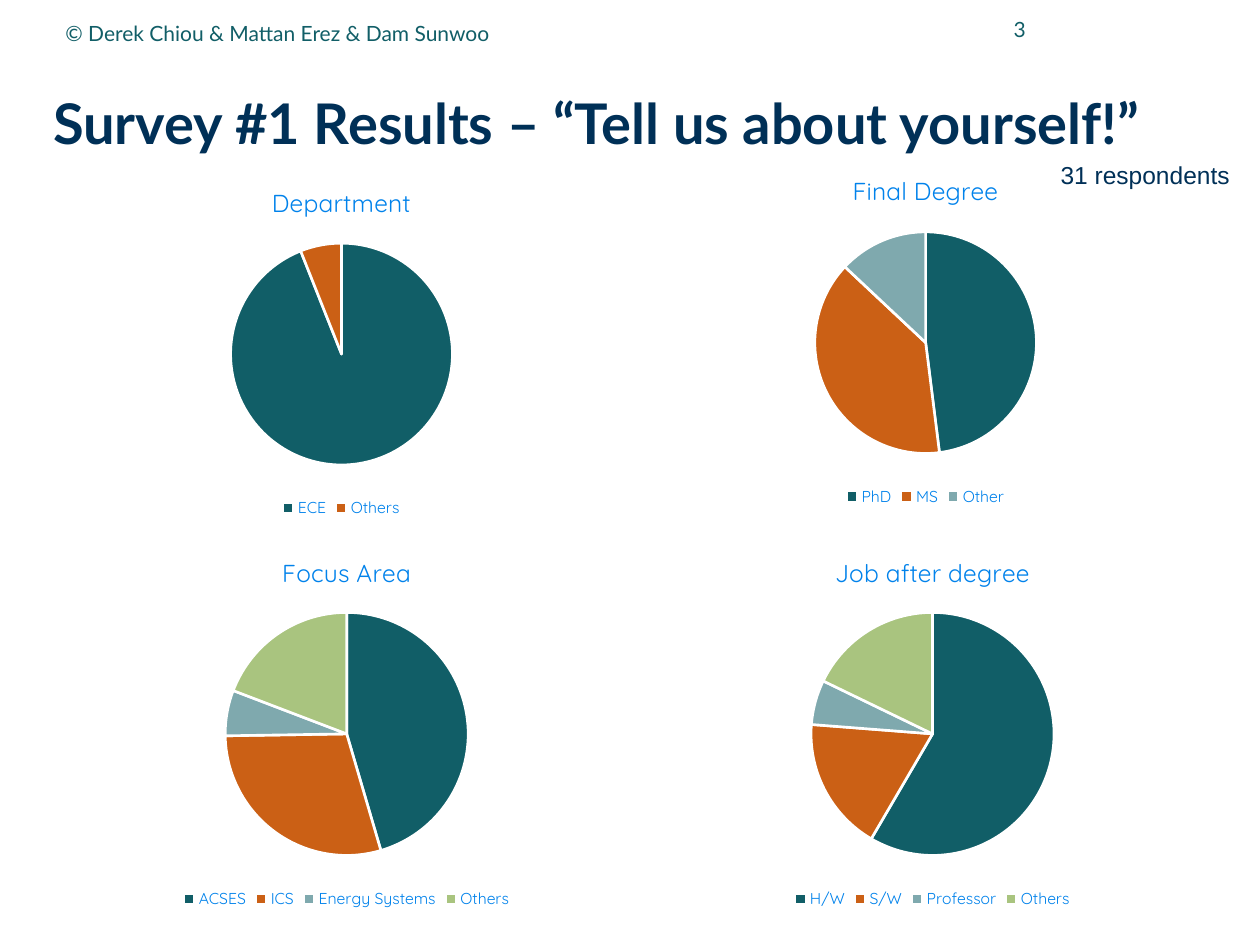
from pptx import Presentation
from pptx.chart.data import CategoryChartData
from pptx.dml.color import RGBColor
from pptx.enum import chart as ch, text
from pptx.oxml import parse_xml
from pptx.oxml.ns import nsdecls
from pptx.util import Cm, Pt

NAVY = RGBColor(0x00, 0x30, 0x57)
TEAL = RGBColor(0x11, 0x5E, 0x67)
ORANGE = RGBColor(0xCB, 0x60, 0x15)
STEEL = RGBColor(0x7F, 0xA9, 0xAE)
GREEN = RGBColor(0xA9, 0xC4, 0x7F)
BLUE = RGBColor(0x00, 0x82, 0xEB)
WHITE = RGBColor(0xFF, 0xFF, 0xFF)
SLICE_COLORS = (TEAL, ORANGE, STEEL, GREEN)

# Space in cm kept above each pie for its title and below it for its legend
TITLE_SPACE, LEGEND_SPACE = 1.55, 1.17

# Box in cm (left, top, width, height), title, percentage by answer
SURVEYS = (
    ((1.32, 3.35, 11.13, 7.19), "Department", {"ECE": 94, "Others": 6}),
    ((11.89, 3.12, 13.54, 7.19), "Final Degree",
     {"PhD": 48, "MS": 39, "Other": 13}),
    ((0.64, 10.8, 12.7, 7.62), "Focus Area",
     {"ACSES": 45, "ICS": 29, "Energy Systems": 6, "Others": 19}),
    ((12.45, 10.8, 12.7, 7.62), "Job after degree",
     {"H/W": 59, "S/W": 18, "Professor": 6, "Others": 18}),
)


def set_font(font, name, size, color, bold=False):
    font.name, font.size, font.bold = name, Pt(size), bold
    font.color.rgb = color


def add_label(slide, box, words, name, size, color,
              align=text.PP_ALIGN.LEFT, anchor=text.MSO_ANCHOR.MIDDLE,
              wrap=True):
    frame = slide.shapes.add_textbox(*map(Cm, box)).text_frame
    frame.word_wrap, frame.vertical_anchor = wrap, anchor
    frame.text = words
    frame.paragraphs[0].alignment = align
    set_font(frame.paragraphs[0].runs[0].font, name, size, color)


def add_header(slide, box):
    left, top, width, height = box
    # Page number and copyright line
    add_label(slide, (left + 17.55, top - 1.32, 2.31, 1.27), "3",
              "Lato", 12, TEAL, align=text.PP_ALIGN.RIGHT)
    add_label(slide, (left, top - 1.19, 14.4, 1.17),
              "© Derek Chiou & Mattan Erez & Dam Sunwoo", "Lato", 12, TEAL)

    # Slide title
    title = slide.shapes.title
    title.left, title.top, title.width, title.height = map(Cm, box)
    frame = title.text_frame
    frame.margin_left = frame.margin_right = 0
    frame.margin_top = frame.margin_bottom = 0
    frame.vertical_anchor = text.MSO_ANCHOR.MIDDLE
    frame.text = "Survey #1 Results – “Tell us about yourself!”"
    heading = frame.paragraphs[0]
    heading.alignment, heading.line_spacing = text.PP_ALIGN.LEFT, 0.99
    set_font(heading.runs[0].font, "Lato", 32, NAVY, bold=True)


def fix_pie_size(chart, width, height):
    diameter = height - TITLE_SPACE - LEGEND_SPACE
    share = diameter / width
    values = {"x": (1 - share) / 2, "y": TITLE_SPACE / height,
              "w": share, "h": diameter / height}
    sizes = "".join(f'<c:{key} val="{value:.3f}"/>'
                    for key, value in values.items())
    plot_area = chart.plots[0]._element.getparent()
    for layout in plot_area.findall("{*}layout"):
        plot_area.remove(layout)
    plot_area.insert(0, parse_xml(
        f'<c:layout {nsdecls("c")}><c:manualLayout>'
        '<c:layoutTarget val="inner"/><c:xMode val="edge"/>'
        f'<c:yMode val="edge"/>{sizes}</c:manualLayout></c:layout>'))


def add_survey_pie(slide, box, question, answers):
    data = CategoryChartData()
    data.categories = list(answers)
    data.add_series("Series 1", list(answers.values()))
    chart = slide.shapes.add_chart(
        ch.XL_CHART_TYPE.PIE, *map(Cm, box), data).chart
    set_font(chart.font, "Quicksand", 10, NAVY)
    fix_pie_size(chart, box[2], box[3])

    # Chart title and legend
    chart.has_title = True
    chart.chart_title.include_in_layout = False
    frame = chart.chart_title.text_frame
    frame.text = question
    set_font(frame.paragraphs[0].runs[0].font, "Quicksand", 14, BLUE)
    chart.has_legend = True
    chart.legend.position = ch.XL_LEGEND_POSITION.BOTTOM
    chart.legend.include_in_layout = False
    set_font(chart.legend.font, "Quicksand", 9, BLUE)

    # Slices
    pie = chart.plots[0]
    pie.vary_by_categories = True
    for index, color in enumerate(SLICE_COLORS[:len(answers)]):
        part = pie.series[0].points[index].format
        part.fill.solid()
        part.fill.fore_color.rgb = color
        part.line.color.rgb = WHITE
        part.line.width = Pt(1.5)


def main():
    deck = Presentation()
    deck.slide_width, deck.slide_height = Cm(25.4), Cm(19.05)
    slide = deck.slides.add_slide(deck.slide_layouts[5])
    add_header(slide, (1.07, 1.27, 23.9, 2.49))
    for box, question, answers in SURVEYS:
        add_survey_pie(slide, box, question, answers)
    # Sample size
    add_label(slide, (21.13, 3.1, 3.94, 0.86), "31 respondents",
              "Arial", 14, NAVY, anchor=text.MSO_ANCHOR.TOP, wrap=False)
    deck.save("out.pptx")


if __name__ == "__main__":
    main()
